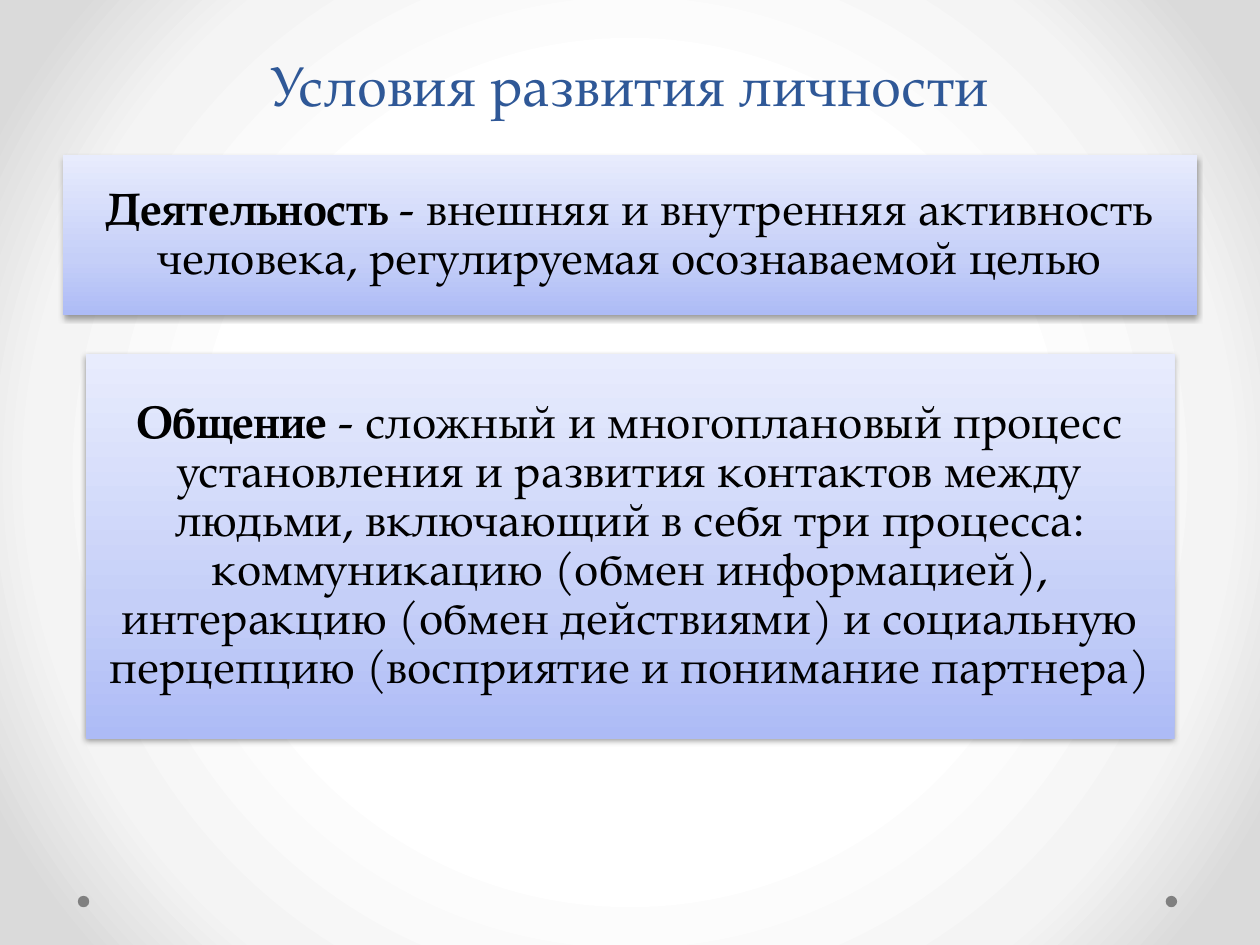
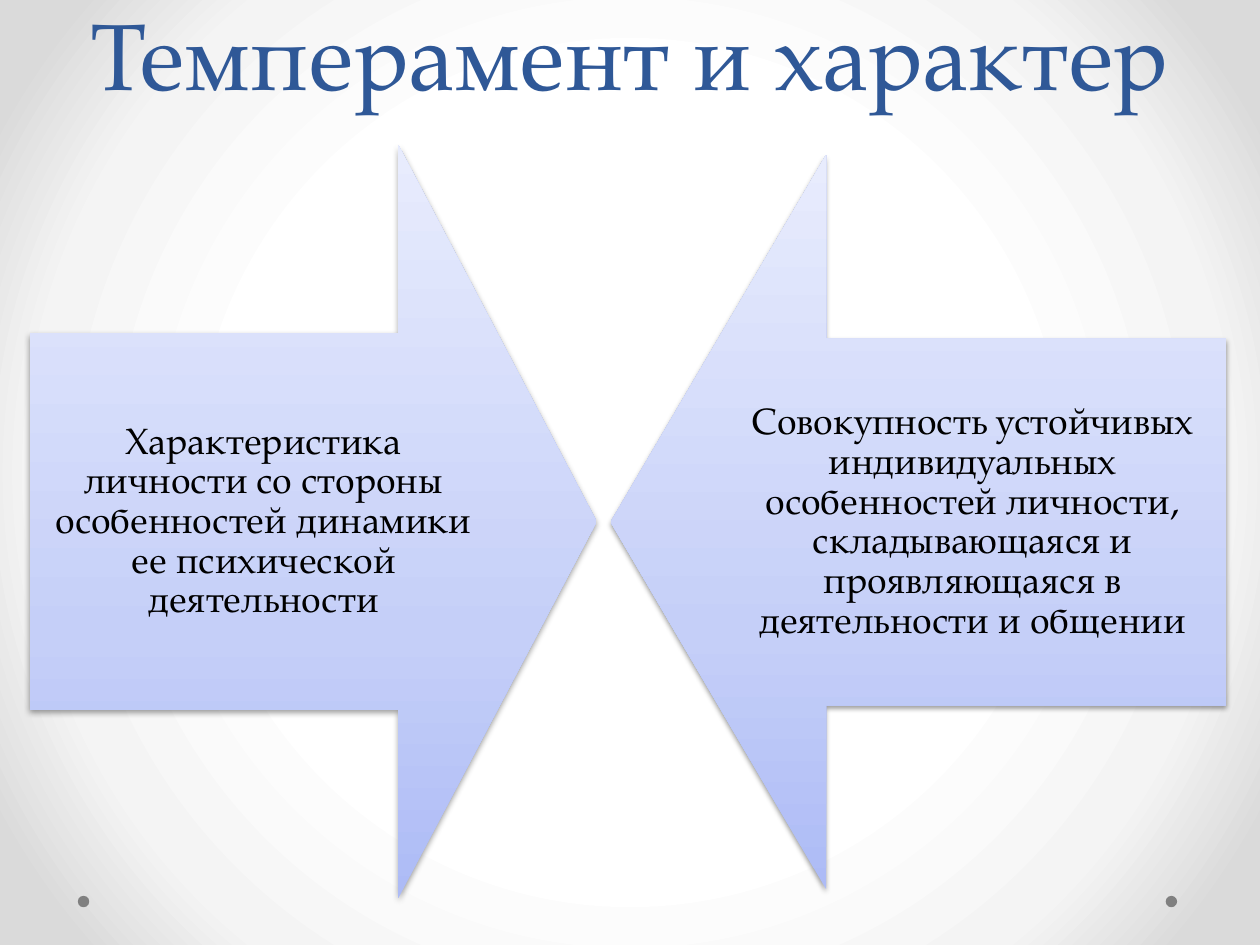
import pptx
import pptx.util
import pptx.dml.color
import pptx.enum.shapes
import pptx.enum.text
import pptx.oxml
import pptx.oxml.ns
from pptx.util import Cm, Pt

FONT = "TeX Gyre Pagella"
BLUE, BLACK, GREY = "2F5897", "000000", "808080"
PANEL = [(0, "ADBBF6"), (35, "C5CFF8"), (100, "E8ECFD")]
GLOW = [(50, "FFFFFF"), (76, "F4F4F4"), (92, "DADADA")]
UPWARD = '<a:lin ang="16200000" scaled="0"/>'
CIRCLE = ('<a:path path="circle"><a:fillToRect l="50000" t="50000" '
          'r="50000" b="50000"/></a:path>')
SHADE = (f'<a:outerShdw blurRad="{Pt(3.1)}" dist="{Pt(1.6)}" dir="5400000" '
         'rotWithShape="0">'
         '<a:srgbClr val="000000"><a:alpha val="38000"/></a:srgbClr>'
         '</a:outerShdw>')
KINDS = pptx.enum.shapes.MSO_SHAPE
ALIGN = pptx.enum.text.PP_ALIGN
ANCHOR = pptx.enum.text.MSO_ANCHOR


def color(code):
    return pptx.dml.color.RGBColor.from_string(code)


def node(text):
    """Turn a drawing tag into an element."""
    space = pptx.oxml.ns.nsdecls("a")
    cut = text.index(" ")
    return pptx.oxml.parse_xml(f"{text[:cut]} {space}{text[cut:]}")


def blend(fill, owner, stops, course):
    """Give the owner of a fill a gradient with these stops."""
    fill.gradient()
    grad = owner.find(".//" + pptx.oxml.ns.qn("a:gradFill"))
    for child in list(grad):
        grad.remove(child)
    marks = "".join(f'<a:gs pos="{pos * 1000}"><a:srgbClr val="{code}"/></a:gs>'
                    for pos, code in stops)
    grad.append(node(f"<a:gsLst >{marks}</a:gsLst>"))
    grad.append(node(course))


def style(para, size, code, bold=0):
    """Format the runs of a centred paragraph; the first `bold` are bold."""
    para.alignment = ALIGN.CENTER
    for place, run in enumerate(para.runs):
        run.font.name = FONT
        run.font.size = Pt(size)
        run.font.bold = place < bold
        run.font.color.rgb = color(code)


def shape(slide, kind, box):
    """Add a plain shape without line or shadow; box is in centimetres."""
    item = slide.shapes.add_shape(kind, *map(Cm, box))
    item.line.fill.background()
    item.shadow.inherit = False
    return item


def panel(slide, kind, box, parts, size, inset, bold=0):
    """Add a shaded blue panel with its text."""
    item = shape(slide, kind, box)
    blend(item.fill, item.element, PANEL, UPWARD)
    item.element.find(".//" + pptx.oxml.ns.qn("a:effectLst")).append(node(SHADE))
    frame = item.text_frame
    frame.word_wrap = True
    frame.vertical_anchor = ANCHOR.MIDDLE
    frame.margin_left = frame.margin_right = Cm(inset)
    frame.margin_top = frame.margin_bottom = Cm(inset)
    para = frame.paragraphs[0]
    for part in parts:
        para.add_run().text = part
    para.line_spacing = 0.9
    style(para, size, BLACK, bold)
    return item


def start(deck, text, size, height):
    """Add a slide with its title."""
    slide = deck.slides.add_slide(deck.slide_layouts[5])
    title = slide.shapes.title
    title.left, title.top, title.width, title.height = map(
        Cm, (1.27, 0, 22.86, height))
    frame = title.text_frame
    frame.text = text
    frame.word_wrap = True
    frame.auto_size = pptx.enum.text.MSO_AUTO_SIZE.NONE
    frame.vertical_anchor = ANCHOR.BOTTOM
    para = frame.paragraphs[0]
    para.line_spacing = Pt(58)
    style(para, size, BLUE)
    return slide


def backdrop(deck, slide):
    """Put the glow and the two dots on the master."""
    master = deck.slide_master
    blend(master.background.fill, master.element, GLOW, CIRCLE)
    tree = master.element.find(".//" + pptx.oxml.ns.qn("p:spTree"))
    for left in (1.57, 23.5):
        dot = shape(slide, KINDS.OVAL, (left, 18.06, 0.23, 0.23))
        dot.fill.solid()
        dot.fill.fore_color.rgb = color(GREY)
        tree.append(dot.element)


def terms(slide, rows):
    """Stack centred panels, each a bold term with its meaning."""
    for box, parts in rows:
        panel(slide, KINDS.RECTANGLE, box, parts, 26, 0.28, bold=1)


def arrows(slide, sides):
    """Set arrows that point at each other."""
    for kind, box, text in sides:
        item = panel(slide, kind, box, [text], 21, 0.41)
        item.adjustments[0] = 0.5
        item.adjustments[1] = 0.35


def main():
    deck = pptx.Presentation()
    deck.slide_width, deck.slide_height = Cm(25.4), Cm(19.05)

    # Conditions of growth
    slide = start(deck, "Условия развития личности", 32, 2.51)
    backdrop(deck, slide)
    terms(slide, [
        ((1.27, 3.12, 22.86, 3.23),
         ["Деятельность ",
          "- внешняя и внутренняя активность человека, регулируемая "
          "осознаваемой целью"]),
        ((1.73, 7.14, 21.95, 7.75),
         ["Общение",
          " - сложный и многоплановый процесс установления и развития "
          "контактов между людьми, включающий в себя три процесса: "
          "коммуникацию (обмен информацией), интеракцию (обмен действиями) "
          "и социальную перцепцию (восприятие и понимание партнера)"]),
    ])

    # Temper and character
    slide = start(deck, "Темперамент и характер", 54, 2.34)
    arrows(slide, [
        (KINDS.RIGHT_ARROW, (0.6, 2.92, 11.43, 15.19),
         "Характеристика личности со стороны особенностей динамики "
         "ее психической деятельности"),
        (KINDS.LEFT_ARROW, (12.31, 3.12, 12.42, 14.81),
         "Совокупность устойчивых индивидуальных особенностей личности, "
         "складывающаяся и проявляющаяся в деятельности и общении"),
    ])
    deck.save("out.pptx")


if __name__ == "__main__":
    main()
